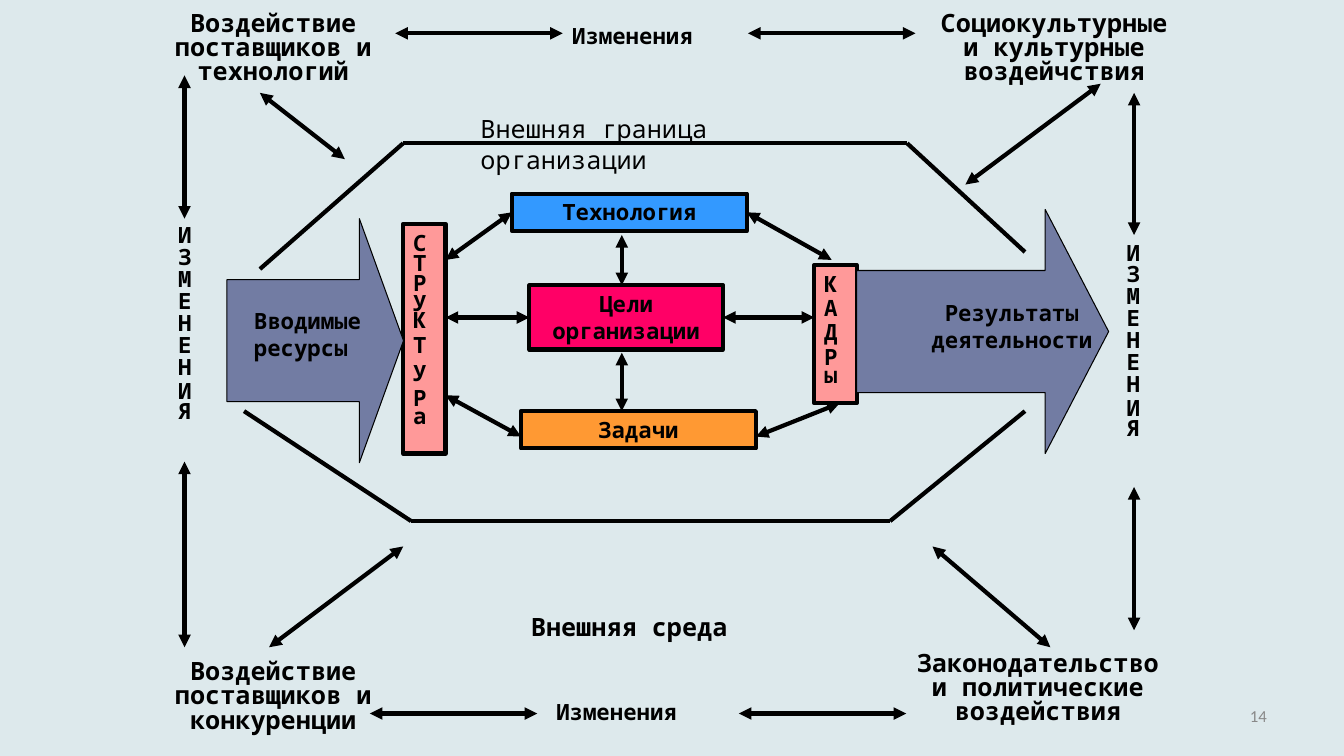
import itertools

import pptx
import pptx.dml.color
import pptx.enum.shapes
import pptx.enum.text
import pptx.oxml.ns
import pptx.util
from lxml import etree
from pptx.util import Cm

SHAPE = pptx.enum.shapes.MSO_SHAPE
ALIGN = pptx.enum.text.PP_ALIGN
TOP, LEFT, BOTTOM, RIGHT = range(4)
BLACK = "000000"

CHANGES = "ИЗМЕНЕНИЯ"
CHANGES_SPACING = [0.8, 0.3, 0.4, 0.4, 0.4, 0.4, 0.4, 0.5, 0.3]


def color(value):
    return pptx.dml.color.RGBColor.from_string(value)


def write(shape, lines, size=16, bold=True, align=ALIGN.LEFT, spacing=None,
          font="Noto Sans Mono", ink=BLACK):
    """Fill a shape with one paragraph per item of lines."""
    tf = shape.text_frame
    tf.word_wrap = True
    tf.vertical_anchor = pptx.enum.text.MSO_ANCHOR.TOP
    tf.text = "\n".join(lines)
    for i, p in enumerate(tf.paragraphs):
        p.alignment = align
        if spacing:
            p.line_spacing = spacing[i]
        if i:
            p.space_before = pptx.util.Pt(8)
        p.font.name = font
        p.font.size = pptx.util.Pt(size)
        p.font.bold = bold
        p.font.color.rgb = color(ink)


def add_label(s, box, lines, **style):
    write(s.shapes.add_textbox(*map(Cm, box)), lines, **style)


def add_block(s, kind, box, fill, width):
    sp = s.shapes.add_shape(kind, *map(Cm, box))
    sp.shadow.inherit = False
    sp.fill.solid()
    sp.fill.fore_color.rgb = color(fill)
    sp.line.color.rgb = color(BLACK)
    sp.line.width = pptx.util.Pt(width)
    return sp


def add_box(s, box, fill, lines, **style):
    sp = add_block(s, SHAPE.RECTANGLE, box, fill, 3)
    write(sp, lines, **style)
    return sp


def add_flow(s, box, head):
    """Draw a wide block arrow with the given head length ratio."""
    sp = add_block(s, SHAPE.RIGHT_ARROW, box, "727CA3", 0.75)
    sp.adjustments[0] = 0.5
    sp.adjustments[1] = head


def add_line(s, start, end):
    line = s.shapes.add_connector(
        pptx.enum.shapes.MSO_CONNECTOR.STRAIGHT, *map(Cm, start + end))
    line.line.color.rgb = color(BLACK)
    line.line.width = pptx.util.Pt(3)
    etree.SubElement(line._element.spPr, pptx.oxml.ns.qn("a:effectLst"))
    return line


def add_double_arrow(s, start, end):
    line = add_line(s, start, end)
    ln = line._element.spPr.find(pptx.oxml.ns.qn("a:ln"))
    for tag in ("a:headEnd", "a:tailEnd"):
        etree.SubElement(ln, pptx.oxml.ns.qn(tag), type="triangle")
    return line


def add_core(s):
    """Draw the inner variables of the organisation and their links."""
    goals = add_box(s, (13.34, 7.19, 4.88, 1.62), "FF0066",
                    ["Цели организации"], align=ALIGN.CENTER)
    add_box(s, (13.13, 10.36, 5.92, 0.94), "FF9933", ["Задачи"],
            align=ALIGN.CENTER)
    technology = add_box(s, (12.9, 4.88, 5.92, 0.94), "3399FF",
                         ["Технология"], align=ALIGN.CENTER)
    add_box(s, (10.16, 5.64, 1.07, 5.79), "FF9999", "СТРУКТУРа",
            spacing=[1.0, 0.2, 0.4, 0.3, 0.2, 0.6, 0.6, 0.5, 0.2])
    add_box(s, (20.52, 6.68, 1.07, 3.48), "FF9999", "КАДРы",
            spacing=[1.0, 0.4, 0.5, 0.5, 0.2])

    add_flow(s, (5.72, 5.51, 4.45, 6.15), 0.25)
    add_label(s, (6.15, 7.62, 3.81, 1.63), ["Вводимые ресурсы"])
    add_flow(s, (21.59, 5.28, 6.35, 6.15), 0.26)
    add_label(s, (23.06, 7.42, 4.88, 1.63), ["Результаты деятельности"],
              align=ALIGN.CENTER)

    for start, end in [((15.67, 5.92), (15.67, 7.19)),
                       ((15.67, 8.89), (15.67, 10.36)),
                       ((11.23, 9.96), (13.13, 11)),
                       ((19.05, 11), (21.16, 10.16))]:
        add_double_arrow(s, start, end)
    add_double_arrow(s, (11.23, 8), (13.34, 8)).end_connect(goals, LEFT)
    add_double_arrow(s, (18.22, 8), (20.52, 8)).begin_connect(goals, RIGHT)
    add_double_arrow(s, (11.23, 6.55), (12.9, 5.35)).end_connect(
        technology, LEFT)
    add_double_arrow(s, (18.82, 5.35), (20.96, 6.55)).begin_connect(
        technology, RIGHT)


def add_boundary(s):
    upper = [(6.55, 6.78), (10.16, 3.61), (22.86, 3.61), (25.83, 6.35)]
    lower = [(6.15, 10.36), (10.36, 13.13), (22.43, 13.13), (25.83, 10.36)]
    for points in (upper, lower):
        for start, end in itertools.pairwise(points):
            add_line(s, start, end)
    add_label(s, (11.86, 2.74, 9.96, 1.8), ["Внешняя граница организации"],
              size=18, bold=False)


def add_environment(s):
    """Draw the outer influences and the changes that link them."""
    for box, text in [
            ((3.61, 0.2, 6.55, 2.11), "Воздействие поставщиков и технологий"),
            ((23.29, 0.2, 6.55, 2.11),
             "Социокультурные и культурные воздейчствия"),
            ((22.66, 16.33, 6.99, 2.11),
             "Законодательство и политические воздействия"),
            ((3.61, 16.54, 6.55, 2.11),
             "Воздействие поставщиков и конкуренции")]:
        add_label(s, box, [text], size=18, align=ALIGN.CENTER, spacing=[0.8])

    for left, top in [(4.24, 5.59), (28.14, 6.02)]:
        add_label(s, (left, top, 1.07, 5.64), CHANGES,
                  spacing=CHANGES_SPACING)
    for left, top in [(14.17, 0.43), (13.77, 17.48)]:
        add_label(s, (left, top, 4.24, 0.94), ["Изменения"])

    for left, y in [(9.96, 0.84), (18.85, 0.84), (9.32, 17.98),
                    (18.62, 17.98)]:
        add_double_arrow(s, (left, y), (left + 4.22, y))
    for x, top, bottom in [(4.65, 1.9, 5.51), (4.65, 11.63, 16.31),
                           (28.58, 2.34, 5.92), (28.58, 12.27, 15.88)]:
        add_double_arrow(s, (x, top), (x, bottom))
    for start, end in [((6.78, 16.31), (10.16, 13.77)),
                       ((24.33, 4.65), (27.74, 2.11)),
                       ((6.55, 2.34), (8.69, 4.01)),
                       ((23.5, 13.77), (26.47, 16.31))]:
        add_double_arrow(s, start, end)
    add_label(s, (13.13, 15.29, 9.09, 1.02), ["Внешняя среда"], size=18)


def main():
    prs = pptx.Presentation()
    prs.slide_width, prs.slide_height = Cm(33.87), Cm(19.05)
    s = prs.slides.add_slide(prs.slide_layouts[6])
    s.background.fill.solid()
    s.background.fill.fore_color.rgb = color("DDE9EC")
    add_core(s)
    add_boundary(s)
    add_environment(s)
    add_label(s, (24.28, 17.65, 7.9, 1.02), ["14"], size=12, bold=False,
              align=ALIGN.RIGHT, font="Calibri", ink="898989")
    prs.save("out.pptx")


if __name__ == "__main__":
    main()
